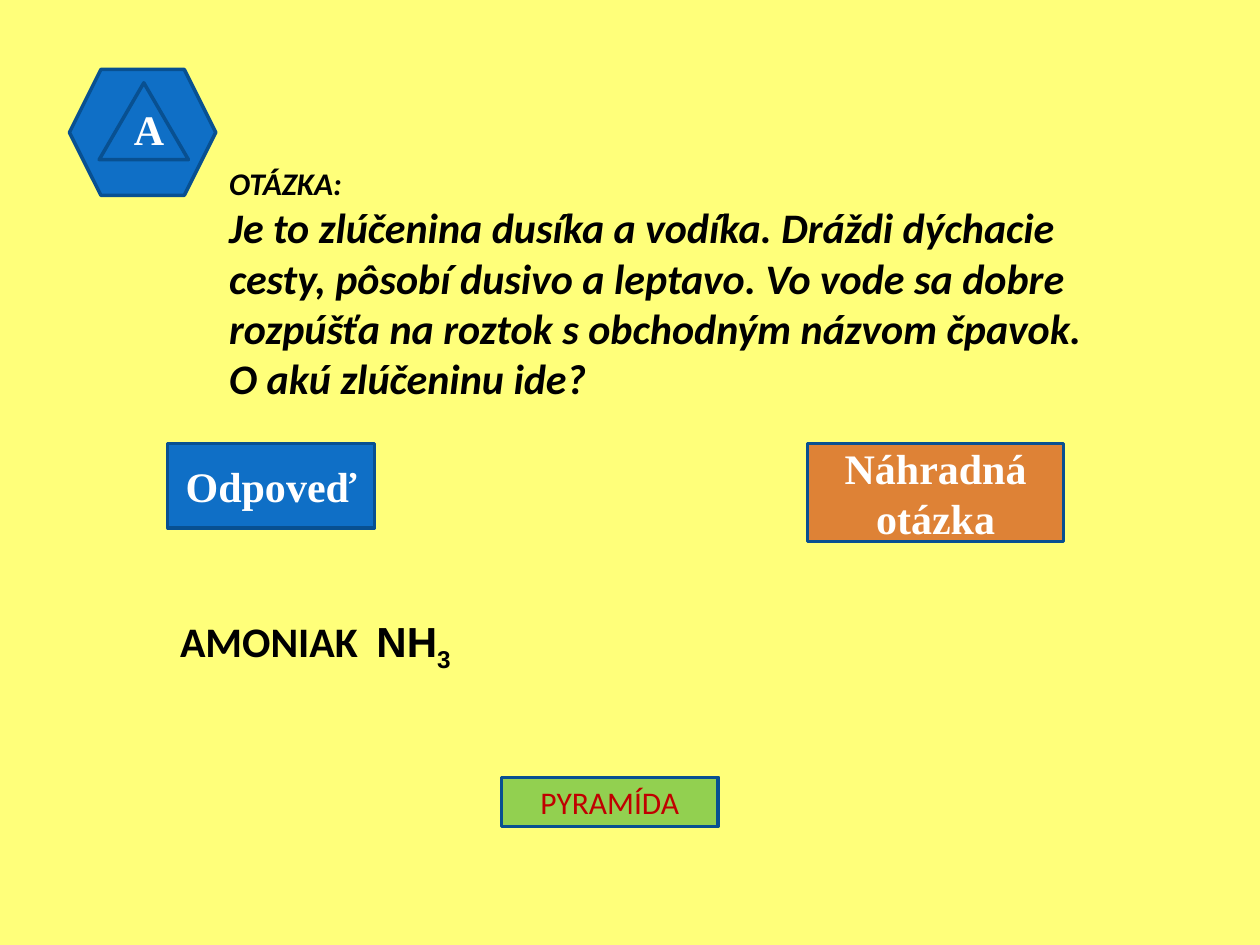
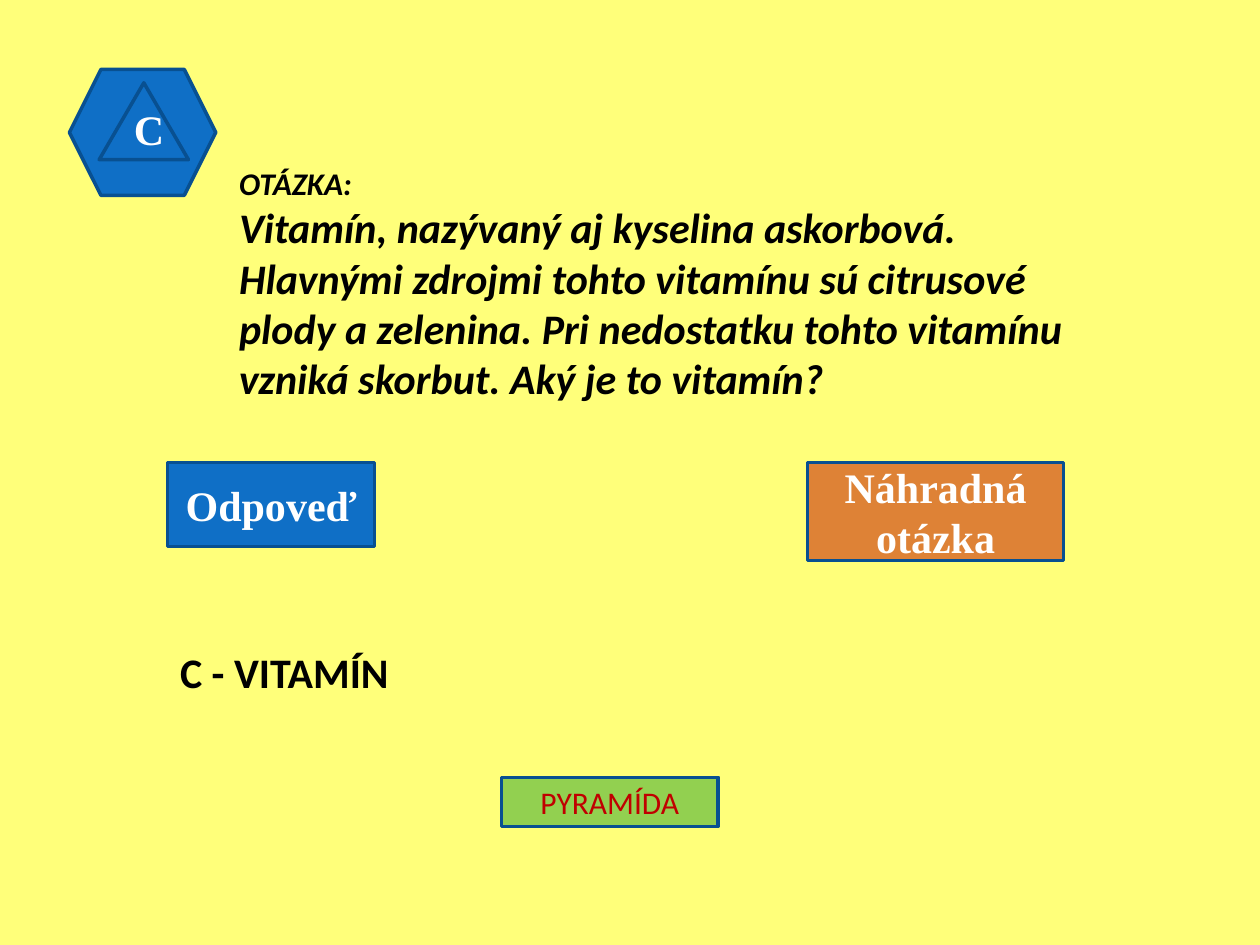
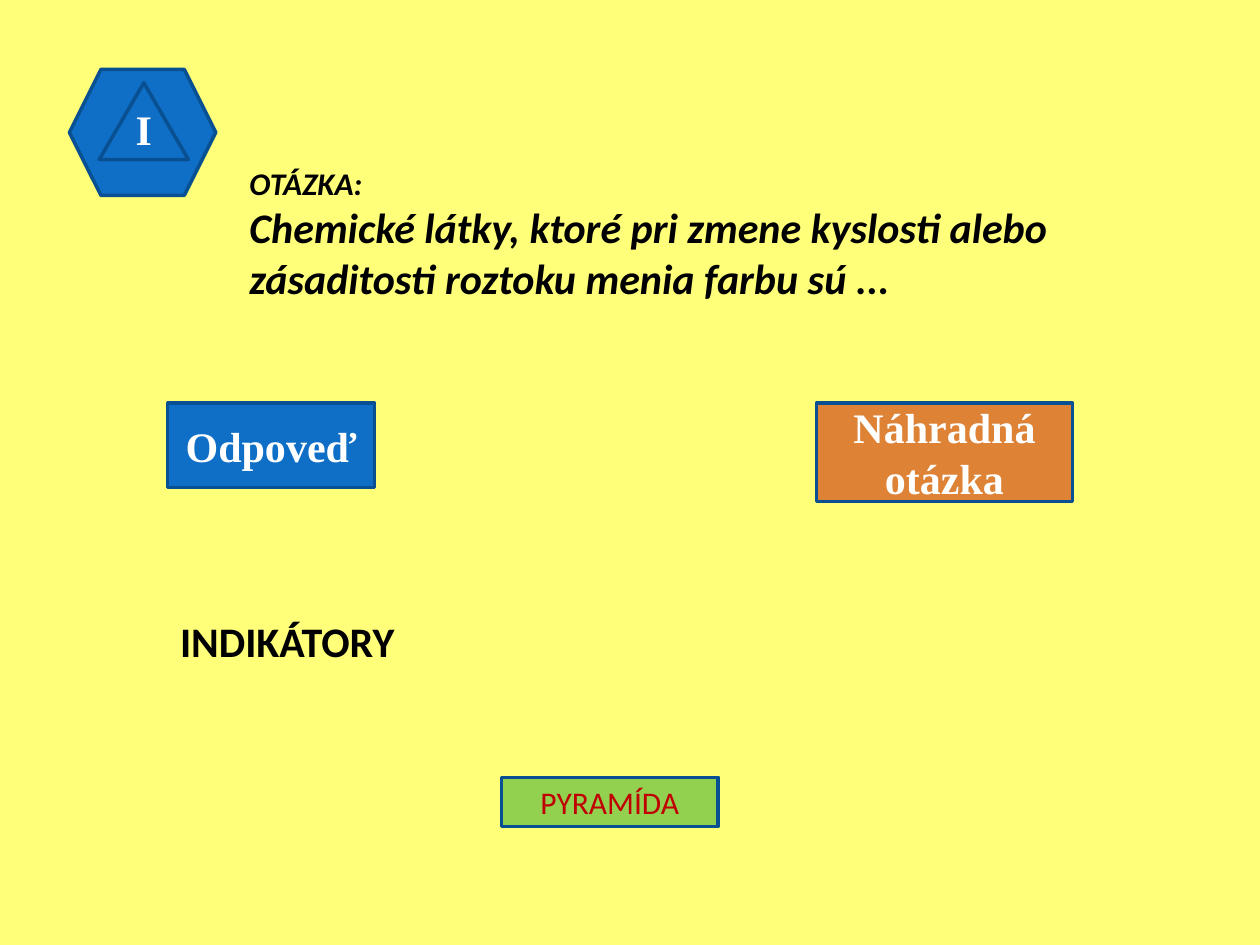
from lxml import etree
from pptx import Presentation
from pptx.dml.color import RGBColor
from pptx.enum.shapes import MSO_SHAPE as SHAPE
from pptx.enum.text import MSO_ANCHOR as ANCHOR, MSO_AUTO_SIZE as AUTO_SIZE, PP_ALIGN as ALIGN
from pptx.oxml.ns import qn
from pptx.util import Cm, Pt

# Shared look
YELLOW, BLUE, NAVY, ORANGE = "FFFF7A", "0F6FC6", "085091", "DE8236"
GREEN, RED, WHITE, BLACK = "92D050", "C00000", "FFFFFF", "000000"
SERIF, SANS, ARIAL = "Times New Roman", "Calibri", "Arial"

# Letter, question (left, width, height, text), buttons' top, substitute
# button's left, answer (top, width, runs as text / font / subscript)
QUESTIONS = [
    ("A", (4.37, 18.06, 5.08,
           "Je to zlúčenina dusíka a vodíka. Dráždi dýchacie cesty, pôsobí dusivo "
           "a leptavo. Vo vode sa dobre rozpúšťa na roztok s obchodným názvom "
           "čpavok. O akú zlúčeninu ide?"),
     8.94, 16.28,
     (12.29, 6.35, [("AMONIAK\t", SANS, False), ("NH", ARIAL, False), ("3", ARIAL, True)])),
    ("C", (4.57, 18.06, 5.08,
           "Vitamín, nazývaný aj kyselina askorbová. Hlavnými zdrojmi tohto "
           "vitamínu sú citrusové plody a zelenina. Pri nedostatku tohto vitamínu "
           "vzniká skorbut. Aký je to vitamín?"),
     9.32, 16.28, (12.9, 5.16, [("C - VITAMÍN", SANS, False)])),
    ("I", (4.78, 17.07, 3.05,
           "Chemické látky, ktoré pri zmene kyslosti alebo zásaditosti roztoku "
           "menia farbu sú ..."),
     8.13, 16.46, (12.29, 6.35, [("INDIKÁTORY", SANS, False)])),
]


def rgb(color):
    return RGBColor.from_string(color)


def set_font(font, size, color, name=None, bold=False, italic=False):
    font.size, font.bold, font.italic = Pt(size), bold, italic
    font.color.rgb = rgb(color)
    if name:
        font.name = name


def add_tab_stop(p, position):
    tabs = etree.SubElement(p._p.get_or_add_pPr(), qn("a:tabLst"))
    etree.SubElement(tabs, qn("a:tab"), pos=str(Cm(position)), algn="l")


def add_block(slide, kind, box, fill):
    sp = slide.shapes.add_shape(kind, *map(Cm, box))
    sp.shadow.inherit = False
    sp.fill.solid()
    sp.fill.fore_color.rgb = rgb(fill)
    sp.line.color.rgb = rgb(NAVY)
    sp.line.width = Pt(2)
    return sp


def add_label(sp, text, anchor=ANCHOR.MIDDLE, size=24, color=WHITE, name=SERIF, bold=True):
    tf = sp.text_frame
    tf.vertical_anchor = anchor
    p = tf.paragraphs[0]
    p.text = text
    p.alignment = ALIGN.CENTER
    set_font(p.font, size, color, name, bold)


def add_text_frame(slide, box):
    tf = slide.shapes.add_textbox(*map(Cm, box)).text_frame
    tf.word_wrap = True
    tf.auto_size = AUTO_SIZE.SHAPE_TO_FIT_TEXT
    return tf


def add_badge(slide, box, letter):
    """Hexagon with a lettered triangle inside."""
    left, top, _, _ = box
    add_block(slide, SHAPE.HEXAGON, box, BLUE)
    triangle = (left + 0.6, top + 0.27, 1.8, 1.55)
    add_label(add_block(slide, SHAPE.ISOSCELES_TRIANGLE, triangle, BLUE), letter, ANCHOR.BOTTOM)


def add_question(slide, box, text):
    tf = add_text_frame(slide, box)
    heading, body = tf.paragraphs[0], tf.add_paragraph()
    for p, line, size in ((heading, "OTÁZKA:", 18), (body, text, 24)):
        p.text = line
        set_font(p.font, size, BLACK, SANS, bold=True, italic=True)


def add_button(slide, box, text, fill, **style):
    add_label(add_block(slide, SHAPE.FLOWCHART_PROCESS, box, fill), text, **style)


def add_answer(slide, box, runs):
    p = add_text_frame(slide, box).paragraphs[0]
    if len(runs) > 1:
        add_tab_stop(p, 3.96)  # where the formula starts
    set_font(p.font, 24, BLACK, bold=True)
    for text, name, subscript in runs:
        r = p.add_run()
        r.text = text
        r.font.name = name
        if subscript:
            r._r.get_or_add_rPr().set("baseline", "-25000")


def add_question_slide(prs, letter, question, buttons_top, substitute_left, answer):
    slide = prs.slides.add_slide(prs.slide_layouts[6])
    slide.background.fill.solid()
    slide.background.fill.fore_color.rgb = rgb(YELLOW)

    add_badge(slide, (1.4, 1.4, 2.95, 2.54), letter)
    left, width, height, text = question
    add_question(slide, (left, 3.18, width, height), text)

    # Buttons
    add_button(slide, (3.38, buttons_top, 4.17, 1.7), "Odpoveď", BLUE)
    add_button(slide, (substitute_left, buttons_top, 5.16, 1.98), "Náhradná otázka", ORANGE)
    add_button(slide, (10.11, 15.67, 4.37, 0.99), "PYRAMÍDA", GREEN,
               size=18, color=RED, name=SANS, bold=False)

    top, width, runs = answer
    add_answer(slide, (3.38, top, width, 1.27), runs)


def main():
    prs = Presentation()
    prs.slide_width, prs.slide_height = Cm(25.4), Cm(19.05)
    for question in QUESTIONS:
        add_question_slide(prs, *question)
    prs.save("out.pptx")


if __name__ == "__main__":
    main()
